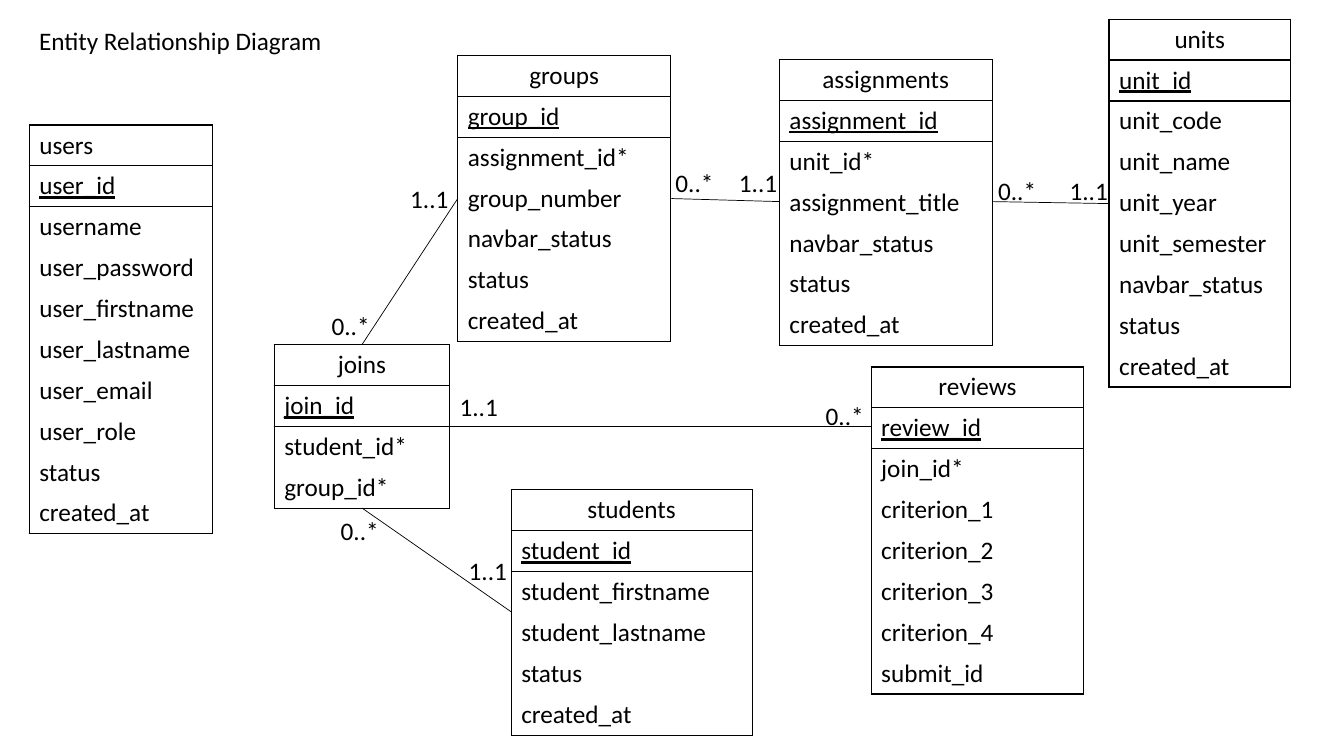
import pptx
import pptx.dml.color
import pptx.enum.shapes
import pptx.enum.text
import pptx.oxml
import pptx.oxml.ns
import pptx.util
from pptx.util import Inches

BLACK = pptx.dml.color.RGBColor(0, 0, 0)
FONT = "Calibri"
TEXT_SIZE = pptx.util.Pt(18)
ROW_HEIGHT = 0.405
LEFT = pptx.enum.text.PP_ALIGN.LEFT
CENTER = pptx.enum.text.PP_ALIGN.CENTER

ENTITIES = [
    (0.29, 1.24, 1.82, LEFT, "users",
     "user_id username user_password user_firstname user_lastname "
     "user_email user_role status created_at"),
    (7.73, 0.59, 2.11, CENTER, "assignments",
     "assignment_id unit_id* assignment_title navbar_status status created_at"),
    (4.54, 0.55, 2.11, CENTER, "groups",
     "group_id assignment_id* group_number navbar_status status created_at"),
    (2.72, 3.42, 1.74, CENTER, "joins", "join_id student_id* group_id*"),
    (8.64, 3.64, 2.11, CENTER, "reviews",
     "review_id join_id* criterion_1 criterion_2 criterion_3 criterion_4 submit_id"),
    (5.07, 4.86, 2.39, CENTER, "students",
     "student_id student_firstname student_lastname status created_at"),
    (11, 0.19, 1.8, CENTER, "units",
     "unit_id unit_code unit_name unit_year unit_semester navbar_status "
     "status created_at"),
]

RELATIONSHIPS = [
    ((11, 2.02), (9.84, 2)),
    ((7.73, 2), (6.66, 1.97)),
    ((3.59, 5.04), (5.07, 6.07)),
    ((4.46, 4.23), (8.64, 4.23)),
    ((4.54, 1.97), (3.59, 3.42)),
]

MULTIPLICITIES = {
    "1..1": [(10.51, 1.69), (3.97, 1.77), (7.23, 1.61), (4.55, 5.46), (4.46, 3.83)],
    "0..*": [(9.8, 1.69), (6.6, 1.61), (3.19, 3.03), (3.28, 5.06), (8.09, 3.92)],
}


def add_run(paragraph, wording, underline=False):
    run = paragraph.add_run()
    run.text = wording
    run.font.name = FONT
    run.font.size = TEXT_SIZE
    run.font.bold = False
    run.font.underline = underline
    run.font.color.rgb = BLACK


def set_borders(cell, top, bottom):
    properties = cell._tc.get_or_add_tcPr()
    sides = [("lnL", True), ("lnR", True), ("lnT", top), ("lnB", bottom)]
    for position, (side, visible) in enumerate(sides):
        paint = (f'<a:solidFill><a:srgbClr val="{BLACK}"/></a:solidFill>'
                 if visible else "<a:noFill/>")
        border = pptx.oxml.parse_xml(
            f'<a:{side} {pptx.oxml.ns.nsdecls("a")} w="{pptx.util.Pt(1)}">'
            f"{paint}</a:{side}>")
        properties.insert(position, border)


def add_entity(slide, left, top, width, title_alignment, title, attributes):
    rows = [title] + attributes.split()
    table = slide.shapes.add_table(
        len(rows), 1, Inches(left), Inches(top),
        Inches(width), Inches(ROW_HEIGHT * len(rows))).table
    table.first_row = False
    table.horz_banding = False
    for index, wording in enumerate(rows):
        table.rows[index].height = Inches(ROW_HEIGHT)
        cell = table.cell(index, 0)
        cell.fill.background()
        set_borders(cell, index <= 2, index < 2 or index == len(rows) - 1)
        paragraph = cell.text_frame.paragraphs[0]
        paragraph.alignment = title_alignment if index == 0 else LEFT
        add_run(paragraph, wording, underline=index == 1)


def add_relationship(slide, start, end):
    line = slide.shapes.add_connector(
        pptx.enum.shapes.MSO_CONNECTOR.STRAIGHT,
        *(Inches(value) for value in start + end))
    line.line.color.rgb = BLACK
    line.line.width = pptx.util.Pt(0.5)
    line._element.spPr.append(
        pptx.oxml.parse_xml(f'<a:effectLst {pptx.oxml.ns.nsdecls("a")}/>'))


def add_label(slide, left, top, width, wording):
    frame = slide.shapes.add_textbox(
        Inches(left), Inches(top), Inches(width), Inches(0.4)).text_frame
    frame.word_wrap = False
    frame.auto_size = pptx.enum.text.MSO_AUTO_SIZE.SHAPE_TO_FIT_TEXT
    add_run(frame.paragraphs[0], wording)


def main():
    deck = pptx.Presentation()
    deck.slide_width = Inches(13.33)
    deck.slide_height = Inches(7.5)
    slide = deck.slides.add_slide(deck.slide_layouts[6])
    for entity in ENTITIES:
        add_entity(slide, *entity)
    for start, end in RELATIONSHIPS:
        add_relationship(slide, start, end)
    for multiplicity, places in MULTIPLICITIES.items():
        for left, top in places:
            add_label(slide, left, top, 0.58, multiplicity)
    add_label(slide, 0.29, 0.2, 3.04, "Entity Relationship Diagram")
    deck.save("out.pptx")


main()
